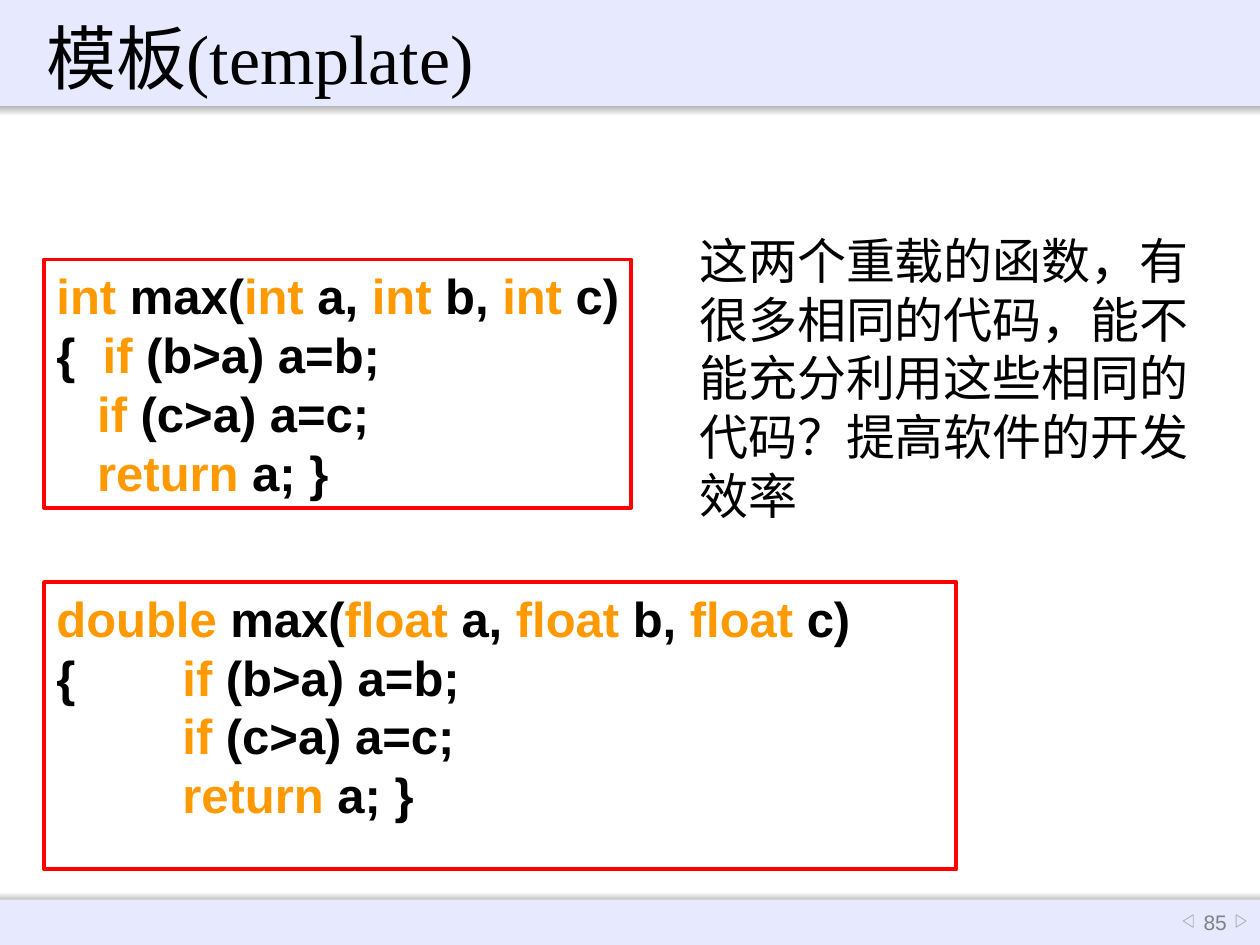
from dataclasses import dataclass

from lxml.etree import SubElement
from pptx import Presentation
from pptx.dml.color import RGBColor
from pptx.enum.shapes import MSO_SHAPE as Preset
from pptx.enum.text import MSO_ANCHOR as Anchor, PP_ALIGN as Align
from pptx.oxml.ns import qn
from pptx.util import Inches, Pt

BLACK, ORANGE, RED = "000000", "FF9900", "FF0000"
BAND, SHADE, NUMBER, WHITE = "E7E9FF", "B2B2B2", "808080", "FFFFFF"
KEYWORD_MARK = "`"  # encloses each keyword in the code below


@dataclass
class Area:
    left: float
    top: float
    width: float
    height: float

    def lengths(self) -> list:
        return [Inches(n) for n in (self.left, self.top, self.width, self.height)]


@dataclass
class CodeBox:
    area: Area
    lines: list
    wrap: bool


CODE_BOXES = [
    CodeBox(Area(0.35, 2.06, 4.66, 1.97), [
        "`int `max(`int` a, `int `b,` int `c)",
        "{  `if `(b>a) a=b;",
        "   `if` (c>a) a=c;",
        "   `return` a; }",
    ], wrap=False),
    CodeBox(Area(0.35, 4.62, 7.24, 2.28), [
        "`double` max(`float` a, `float` b, `float `c)",
        "{\t`if `(b>a) a=b;",
        "\t`if` (c>a) a=c;",
        "\t`return` a; }",
    ], wrap=True),
]
QUESTION = "这两个重载的函数，有很多相同的代码，能不能充分利用这些相同的代码？提高软件的开发效率"


def rgb(value: str) -> RGBColor:
    return RGBColor.from_string(value)


def add_tab_stop(para, inches: float) -> None:
    tabs = SubElement(para._p.get_or_add_pPr(), qn("a:tabLst"))
    SubElement(tabs, qn("a:tab"), pos=str(Inches(inches)), algn="l")


def write(shape, lines, *, size, font="Arial", color=BLACK, bold=False, align=Align.LEFT,
          anchor=Anchor.TOP, inset=(0.1, 0.05), wrap=True, pitch=None, tab=None) -> None:
    """Fill a shape with lines of text, colouring marked keywords orange."""
    frame = shape.text_frame
    frame.word_wrap, frame.vertical_anchor = wrap, anchor
    frame.margin_left = frame.margin_right = Inches(inset[0])
    frame.margin_top = frame.margin_bottom = Inches(inset[1])
    for index, line in enumerate(lines):
        para = frame.add_paragraph() if index else frame.paragraphs[0]
        para.alignment = align
        if pitch:
            para.line_spacing = Pt(pitch)
        if tab:
            add_tab_stop(para, tab)
        for position, piece in enumerate(line.split(KEYWORD_MARK)):
            if not piece:
                continue
            span = para.add_run()
            span.text = piece
            span.font.size, span.font.name, span.font.bold = Pt(size), font, bold
            span.font.color.rgb = rgb(ORANGE if position % 2 else color)


def add_shape(page, area: Area, preset=Preset.RECTANGLE, *, fill=None, line=None,
              line_width=0.5, rotation=0):
    shape = page.shapes.add_shape(preset, *area.lengths())
    shape.shadow.inherit = False
    shape.rotation = rotation
    if fill:
        shape.fill.solid()
        shape.fill.fore_color.rgb = rgb(fill)
    else:
        shape.fill.background()
    if line:
        shape.line.color.rgb = rgb(line)
        shape.line.width = Pt(line_width)
    else:
        shape.line.fill.background()
    return shape


def add_soft_edge(page, top: float, angle: int) -> None:
    edge = add_shape(page, Area(0, top, 10, 0.08))
    edge.fill.gradient()
    edge.fill.gradient_angle = angle
    for stop, color in zip(edge.fill.gradient_stops, (SHADE, WHITE)):
        stop.color.rgb = rgb(color)


def add_text_box(page, area: Area, text: str, **text_format) -> None:
    write(page.shapes.add_textbox(*area.lengths()), [text], **text_format)


def add_frame(page) -> None:
    """Draw the header and footer bands with the page number."""
    add_soft_edge(page, 7.08, angle=90)
    add_soft_edge(page, 0.84, angle=270)
    add_shape(page, Area(0, 7.14, 10, 0.36), fill=BAND)
    add_shape(page, Area(0, 0, 10, 0.84), fill=BAND)
    add_text_box(page, Area(9.33, 7.14, 0.63, 0.36), "85", size=12, color=NUMBER,
                 align=Align.CENTER, anchor=Anchor.MIDDLE, inset=(0, 0))
    for left, rotation in ((9.8, 90), (9.38, 270)):
        add_shape(page, Area(left, 7.27, 0.1, 0.08), Preset.ISOSCELES_TRIANGLE,
                  line=SHADE, rotation=rotation)


def add_title(page, text: str) -> None:
    title = page.shapes.title
    title.left, title.top, title.width, title.height = Area(0.27, 0.13, 8.51, 0.63).lengths()
    write(title, [text], size=40, font="Times New Roman", anchor=Anchor.MIDDLE)
    page.shapes._spTree.append(title._element)  # in front of the header band


def main() -> None:
    deck = Presentation()
    deck.slide_width, deck.slide_height = Inches(10), Inches(7.5)
    page = deck.slides.add_slide(deck.slide_layouts[5])
    add_frame(page)
    for code in CODE_BOXES:
        box = add_shape(page, code.area, line=RED, line_width=2.25)
        write(box, code.lines, size=28, bold=True, wrap=code.wrap, pitch=33.6, tab=1)
    add_text_box(page, Area(5.55, 1.78, 4.02, 2.43), QUESTION, size=28,
                 font="Times New Roman", inset=(0, 0.05), pitch=33.6)
    add_title(page, "模板(template)")
    deck.save("out.pptx")


if __name__ == "__main__":
    main()
